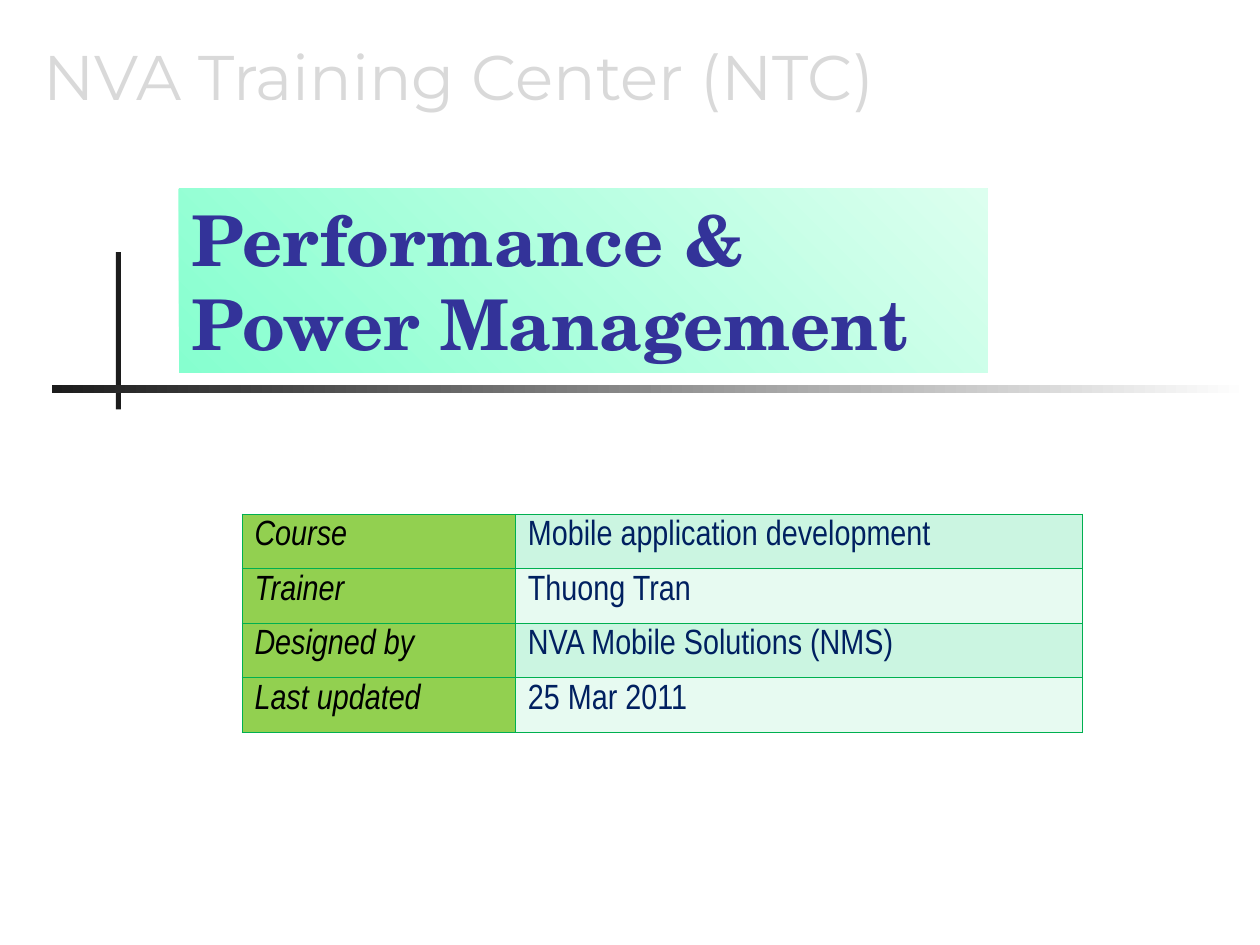
from collections import namedtuple

from lxml.etree import SubElement
from pptx import Presentation
from pptx.dml.color import RGBColor
from pptx.enum.shapes import MSO_SHAPE
from pptx.enum.text import MSO_ANCHOR, MSO_AUTO_SIZE, PP_ALIGN
from pptx.oxml.ns import qn
from pptx.util import Inches, Pt

INK = RGBColor(0x1C, 0x1C, 0x1C)
WHITE = RGBColor(0xFF, 0xFF, 0xFF)
BLACK = RGBColor(0x00, 0x00, 0x00)
PALE_GREY = RGBColor(0xD9, 0xD9, 0xD9)
MINT = RGBColor(0x86, 0xFF, 0xCF)
PALE_MINT = RGBColor(0xDC, 0xFF, 0xEF)
INDIGO = RGBColor(0x33, 0x33, 0x99)
NAVY = RGBColor(0x00, 0x20, 0x60)
LABEL_GREEN = RGBColor(0x92, 0xD0, 0x50)
BORDER_GREEN = RGBColor(0x00, 0xB0, 0x50)
BANDS = (RGBColor(0xCB, 0xF5, 0xE1), RGBColor(0xE7, 0xFA, 0xF1))

Box = namedtuple("Box", "left top width height")

DETAILS = (
    ("Course", "Mobile application development"),
    ("Trainer", "Thuong Tran"),
    ("Designed by", "NVA Mobile Solutions (NMS)"),
    ("Last updated", "25 Mar 2011"),
)


def emu(box):
    return [Inches(length) for length in box]


def style(paragraph, face, size, color, bold=False, italic=False):
    paragraph.alignment = PP_ALIGN.LEFT
    font = paragraph.font
    font.name, font.size = face, Pt(size)
    font.bold, font.italic = bold, italic
    font.color.rgb = color


def add_panel(slide, box, colors, angle=0):
    panel = slide.shapes.add_shape(MSO_SHAPE.RECTANGLE, *emu(box))
    panel.shadow.inherit = False
    panel.line.fill.background()
    if len(colors) == 1:
        panel.fill.solid()
        panel.fill.fore_color.rgb = colors[0]
    else:
        panel.fill.gradient()
        panel.fill.gradient_angle = angle
        for stop, color in zip(panel.fill.gradient_stops, colors):
            stop.color.rgb = color
    return panel


def add_crossed_rules(slide, box):
    add_panel(slide, Box(box.left + 0.51, box.top, 0.04, box.height), [INK])
    add_panel(slide, Box(box.left, box.top + 1.06, box.width, 0.06), [INK, WHITE])


def add_title(slide, box):
    title = add_panel(slide, box, [MINT, PALE_MINT], angle=45)
    frame = title.text_frame
    frame.word_wrap = True
    frame.vertical_anchor = MSO_ANCHOR.MIDDLE
    frame.text = "Performance & Power Management"
    style(frame.paragraphs[0], "TeX Gyre Schola", 40, INDIGO, bold=True)


def add_center_name(slide, box):
    frame = slide.shapes.add_textbox(*emu(box)).text_frame
    frame.word_wrap = True
    frame.auto_size = MSO_AUTO_SIZE.SHAPE_TO_FIT_TEXT
    frame.text = "NVA Training Center (NTC)"
    style(frame.paragraphs[0], "Montserrat", 36, PALE_GREY)


def add_borders(cell):
    properties = cell._tc.get_or_add_tcPr()
    for position, side in enumerate(("a:lnL", "a:lnR", "a:lnT", "a:lnB")):
        line = SubElement(properties, qn(side), w=str(Pt(0.45)))
        fill = SubElement(line, qn("a:solidFill"))
        SubElement(fill, qn("a:srgbClr"), val=str(BORDER_GREEN))
        properties.insert(position, line)


def fill_cell(cell, text, background, color, italic):
    cell.text = text
    cell.margin_left = cell.margin_right = Inches(0.1)
    cell.margin_top = cell.margin_bottom = Inches(0.05)
    cell.fill.solid()
    cell.fill.fore_color.rgb = background
    style(cell.text_frame.paragraphs[0], "Arial Narrow", 20, color, italic=italic)
    add_borders(cell)


def add_details(slide, box):
    table = slide.shapes.add_table(len(DETAILS), 2, *emu(box)).table
    label_width = 2.17
    table.columns[0].width = Inches(label_width)
    table.columns[1].width = Inches(box.width - label_width)
    for index, (label, detail) in enumerate(DETAILS):
        fill_cell(table.cell(index, 0), label, LABEL_GREEN, BLACK, True)
        fill_cell(table.cell(index, 1), detail, BANDS[index % 2], NAVY, False)


def main():
    deck = Presentation()
    deck.slide_width, deck.slide_height = Inches(10), Inches(7.5)
    slide = deck.slides.add_slide(deck.slide_layouts[6])
    add_crossed_rules(slide, Box(0.41, 2, 9.51, 1.25))
    add_title(slide, Box(1.42, 1.5, 6.42, 1.46))
    add_details(slide, Box(1.92, 4.08, 6.67, 1.73))
    add_center_name(slide, Box(0.25, 0.25, 8.25, 0.7))
    deck.save("out.pptx")


if __name__ == "__main__":
    main()
